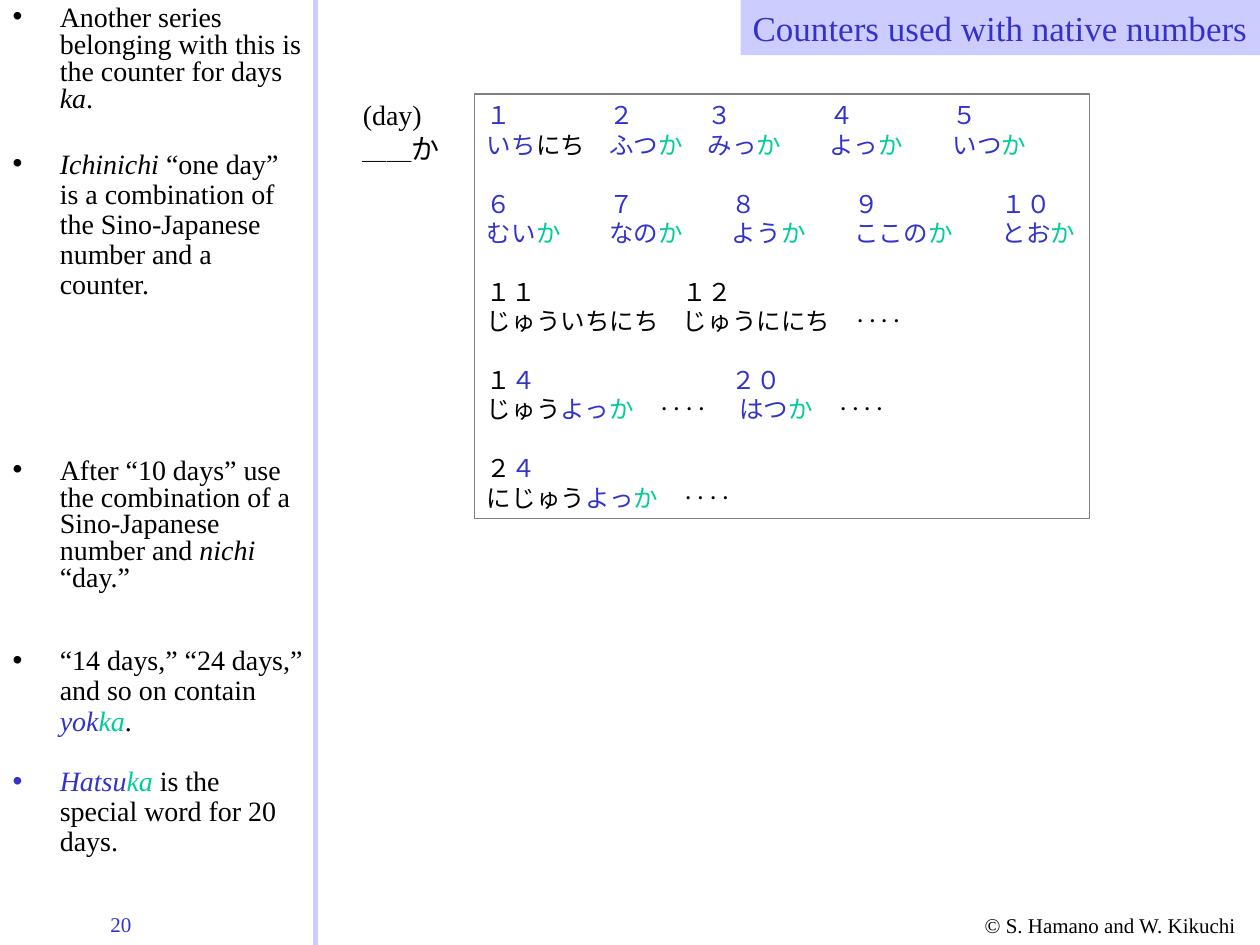
from lxml.etree import SubElement
from pptx import Presentation
from pptx.dml.color import RGBColor
from pptx.enum.shapes import MSO_CONNECTOR, MSO_SHAPE
from pptx.enum.text import MSO_ANCHOR, MSO_AUTO_SIZE, PP_ALIGN
from pptx.oxml.ns import qn
from pptx.util import Pt

COLOURS = {"blue": "3333CC", "green": "00CC99", "black": "000000",
           "lavender": "CCCCFF", "gray": "808080"}
LATIN, JAPANESE = "Times New Roman", "Noto Sans CJK JP"
EM = 14  # width of one full-width character in the counter chart
LINE = 16.8
INDENT = 27

KA = ("か", "green")
YOKKA = [("よっ", "blue"), KA]
DOTS = ("\t‥‥", "black")

# Each row: tab stops in characters, then coloured runs
COUNTER_ROWS = [
    ([5, 9, 14, 19], [("１\t２\t３\t４\t５", "blue")]),
    ([5, 9, 14, 19], [("いち", "blue"), ("にち", "black"), ("\tふつ", "blue"), KA,
                      ("\tみっ", "blue"), KA, ("\tよっ", "blue"), KA,
                      ("\tいつ", "blue"), KA]),
    ([5, 10, 15, 21], [("６\t７\t８\t９\t１０", "blue")]),
    ([5, 10, 15, 21], [("むい", "blue"), KA, ("\tなの", "blue"), KA,
                       ("\tよう", "blue"), KA, ("\tここの", "blue"), KA,
                       ("\tとお", "blue"), KA]),
    ([8], [("１１\t１２", "black")]),
    ([8, 15], [("じゅういちにち\tじゅうににち\t‥‥", "black")]),
    ([10], [("１", "black"), ("４\t２０", "blue")]),
    ([7, 10.29, 14.29], [("じゅう", "black"), *YOKKA, DOTS,
                         ("\tはつ", "blue"), KA, DOTS]),
    ([], [("２", "black"), ("４", "blue")]),
    ([8], [("にじゅう", "black"), *YOKKA, DOTS]),
]

# Each note: top, height, line spacing, list items; coloured words are italic
NOTES = [
    (0, 72.7, 0.8, [[
        ("Another series belonging with this is the counter for days ", None),
        ("ka", "black"), (".", None)]]),
    (82.1, 94.3, 0.9, [[
        ("Ichinichi", "black"),
        (" “one day” is a combination of the Sino-Japanese number and a counter.",
         None)]]),
    (258.5, 92.2, 0.8, [[
        ("After “10 days” use the combination of a Sino-Japanese number and ", None),
        ("nichi ", "black"), ("“day.”", None)]]),
    (365.8, 132.5, 0.9, [
        [("“14 days,” “24 days,” and so on contain ", None),
         ("yok", "blue"), ("ka", "green"), (".", None)],
        [("Hatsu", "blue"), ("ka", "green"),
         (" is the special word for 20 days.", None)]]),
]


def colour(name):
    return RGBColor.from_string(COLOURS[name])


def set_font(font, size, name=LATIN, colour_name=None):
    font.size, font.name = Pt(size), name
    if colour_name:
        font.color.rgb = colour(colour_name)


def set_east_asian(run):
    SubElement(run._r.get_or_add_rPr(), qn("a:ea"), typeface=JAPANESE)


def add_run(paragraph, text, colour_name):
    run = paragraph.add_run()
    run.text = text
    run.font.color.rgb = colour(colour_name)
    return run


def next_paragraph(frame, index):
    return frame.add_paragraph() if index else frame.paragraphs[0]


def place(shape, left, top, width, height):
    shape.left, shape.top = Pt(left), Pt(top)
    shape.width, shape.height = Pt(width), Pt(height)


def add_label(slide, left, top, width, height, text, size, colour_name):
    frame = slide.shapes.add_textbox(Pt(left), Pt(top), Pt(width), Pt(height)).text_frame
    frame.word_wrap = True
    paragraph = frame.paragraphs[0]
    paragraph.text = text
    set_font(paragraph.font, size, colour_name=colour_name)
    return frame


def format_title(title):
    place(title, 423.2, 0, 296.8, 31.5)
    title.fill.solid()
    title.fill.fore_color.rgb = colour("lavender")
    frame = title.text_frame
    frame.word_wrap = True
    frame.margin_left = 0  # leaves room for the title on one line
    frame.auto_size = MSO_AUTO_SIZE.NONE
    frame.vertical_anchor = MSO_ANCHOR.TOP
    paragraph = frame.paragraphs[0]
    paragraph.text = "Counters used with native numbers"
    paragraph.alignment = PP_ALIGN.RIGHT
    set_font(paragraph.font, 20, colour_name="blue")


def add_bullet(paragraph, colour_name):
    properties = paragraph._p.get_or_add_pPr()
    properties.set("marL", str(Pt(INDENT)))
    properties.set("indent", str(-Pt(INDENT)))
    bullet_colour = SubElement(properties, qn("a:buClr"))
    SubElement(bullet_colour, qn("a:srgbClr"), val=COLOURS[colour_name])
    SubElement(properties, qn("a:buChar"), char="•")


def fill_note(placeholder, top, height, spacing, items):
    place(placeholder, 0, top, 180.7, height)
    frame = placeholder.text_frame
    frame.auto_size = MSO_AUTO_SIZE.NONE
    frame.vertical_anchor = MSO_ANCHOR.TOP
    for index, item in enumerate(items):
        paragraph = next_paragraph(frame, index)
        add_bullet(paragraph, item[0][1] or "black")
        paragraph.line_spacing = spacing
        paragraph.space_before = Pt(17.3 if index else 0)
        set_font(paragraph.font, 16)
        paragraph.font.bold = False
        for text, accent in item:
            run = add_run(paragraph, text, accent or "black")
            run.font.italic = accent is not None


def add_counter_chart(slide):
    box = slide.shapes.add_shape(MSO_SHAPE.RECTANGLE, Pt(271.2), Pt(53.8), Pt(351.4), Pt(242.6))
    box.shadow.inherit = False
    box.fill.background()
    box.line.color.rgb = colour("gray")
    box.line.width = Pt(0.75)
    frame = box.text_frame
    frame.word_wrap = False
    frame.vertical_anchor = MSO_ANCHOR.TOP
    for index, (stops, runs) in enumerate(COUNTER_ROWS):
        paragraph = next_paragraph(frame, index)
        tabs = SubElement(paragraph._p.get_or_add_pPr(), qn("a:tabLst"))
        for stop in stops:
            SubElement(tabs, qn("a:tab"), pos=str(Pt(stop * EM)), algn="l")
        paragraph.alignment = PP_ALIGN.LEFT
        paragraph.line_spacing = Pt(LINE)
        # Numbers open a new pair of rows
        paragraph.space_before = Pt(LINE if index and index % 2 == 0 else 0)
        set_font(paragraph.font, EM, JAPANESE)
        for text, colour_name in runs:
            set_east_asian(add_run(paragraph, text, colour_name))


def add_day_label(slide):
    frame = add_label(slide, 200.2, 52.6, 58.3, 46, "(day)", 16, "black")
    frame.word_wrap = False
    paragraph = frame.add_paragraph()
    set_font(paragraph.font, 16)
    blank = add_run(paragraph, "＿＿", "black")
    blank.font.size = Pt(14)
    for run in (blank, add_run(paragraph, "か", "black")):
        set_east_asian(run)
    for line in frame.paragraphs:
        line.line_spacing = Pt(19)


def main():
    presentation = Presentation()
    presentation.slide_width, presentation.slide_height = Pt(720), Pt(540)
    # The comparison layout has a title and four text placeholders
    slide = presentation.slides.add_slide(presentation.slide_layouts[4])

    # Footer and divider
    add_label(slide, 555.6, 517.7, 164.4, 21.6, "© S. Hamano and W. Kikuchi", 12, "black")
    add_label(slide, 56, 517.3, 64, 21.6, "20", 12, "blue")
    divider = slide.shapes.add_connector(MSO_CONNECTOR.STRAIGHT, Pt(180.5), 0, Pt(180.5), Pt(540))
    divider.line.color.rgb = colour("lavender")
    divider.line.width = Pt(3)
    SubElement(divider._element.spPr, qn("a:effectLst"))

    # Title and notes
    format_title(slide.shapes.title)
    for placeholder, note in zip(list(slide.placeholders)[1:], NOTES):
        fill_note(placeholder, *note)

    # Counter chart
    add_day_label(slide)
    add_counter_chart(slide)
    presentation.save("out.pptx")


if __name__ == "__main__":
    main()
